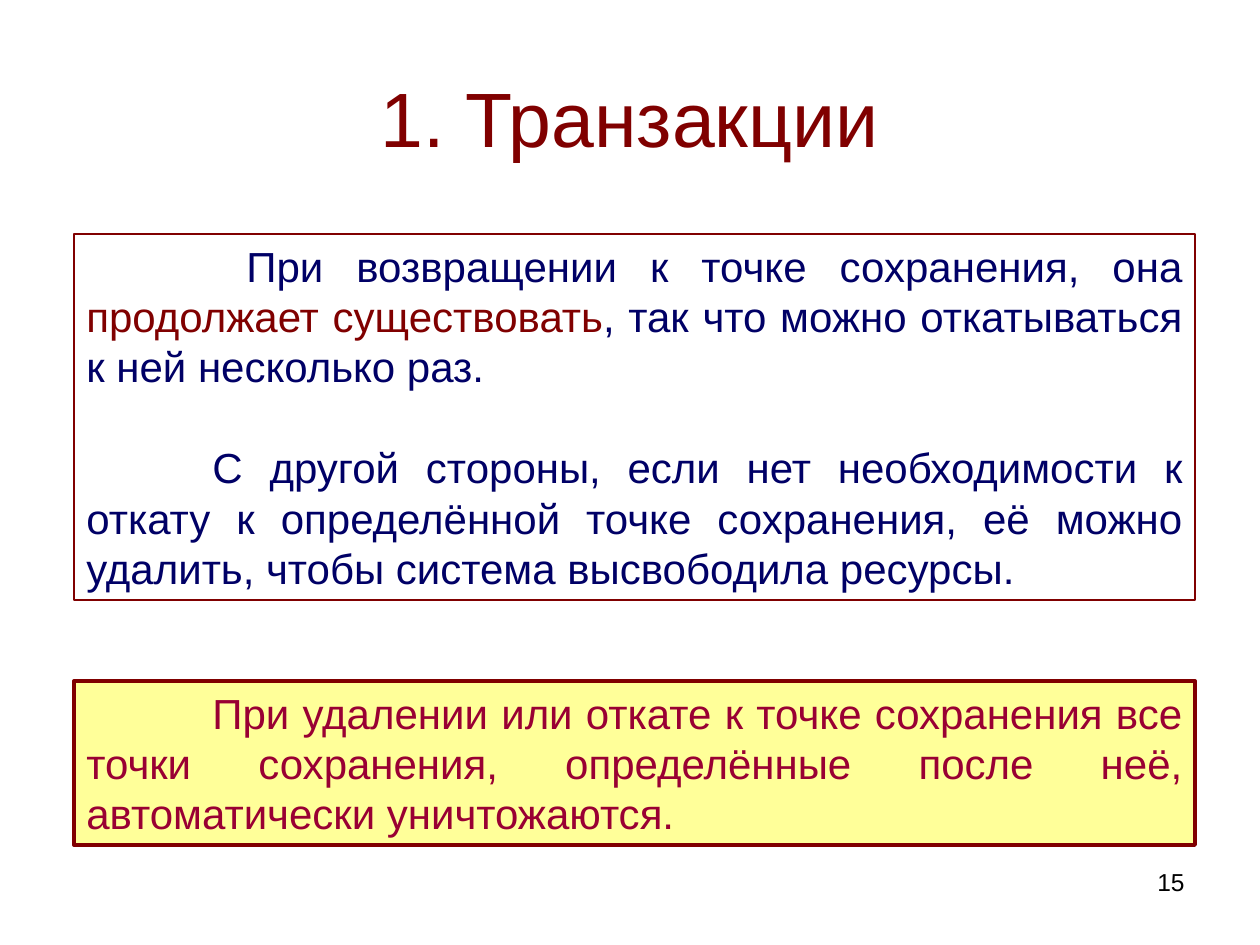
from pptx import Presentation
from pptx.dml.color import RGBColor
from pptx.enum.shapes import MSO_SHAPE as Shape
from pptx.enum.text import MSO_ANCHOR as Anchor, PP_ALIGN as Align
from pptx.util import Emu, Pt

PX = 914400 / 126
MAROON = RGBColor(0x80, 0x00, 0x00)
NAVY = RGBColor(0x00, 0x00, 0x66)
CRIMSON = RGBColor(0x99, 0x00, 0x33)
YELLOW = RGBColor(0xFF, 0xFF, 0x99)
BLACK = RGBColor(0x00, 0x00, 0x00)


def px(value):
    return Emu(round(value * PX))


def write(paragraph, runs, *, size, font, align, indent=0, line=None, before=0):
    """Fill a paragraph with (text, colour) runs in one format."""
    paragraph.alignment = align
    paragraph.space_before = Pt(before)
    if line:
        paragraph.line_spacing = Pt(line)
    if indent:
        paragraph._p.get_or_add_pPr().set("indent", str(px(indent)))
    for text, colour in runs:
        run = paragraph.add_run()
        run.text = text
        run.font.name = font
        run.font.size = Pt(size)
        run.font.color.rgb = colour


class SlideBuilder:
    font = "Arial"
    body_size = 24
    body_line = 28.8

    def __init__(self, slide):
        self.slide = slide

    def label(self, text, box, *, size, colour, align, anchor=Anchor.TOP):
        shape = self.slide.shapes.add_textbox(*map(px, box))
        frame = shape.text_frame
        frame.word_wrap = True
        frame.vertical_anchor = anchor
        write(frame.paragraphs[0], [(text, colour)],
              size=size, font=self.font, align=align)

    def panel(self, paragraphs, box, *, line_width, fill=None):
        """Framed text; each paragraph is (first-line indent, runs)."""
        shape = self.slide.shapes.add_shape(Shape.RECTANGLE, *map(px, box))
        shape.shadow.inherit = False
        if fill is None:
            shape.fill.background()
        else:
            shape.fill.solid()
            shape.fill.fore_color.rgb = fill
        shape.line.color.rgb = MAROON
        shape.line.width = Pt(line_width)
        frame = shape.text_frame
        frame.word_wrap = True
        frame.vertical_anchor = Anchor.TOP
        for index, (indent, runs) in enumerate(paragraphs):
            paragraph = frame.add_paragraph() if index else frame.paragraphs[0]
            write(paragraph, runs, size=self.body_size, font=self.font,
                  align=Align.JUSTIFY, indent=indent, line=self.body_line,
                  before=self.body_line if index else 0)


def main():
    presentation = Presentation()
    presentation.slide_width, presentation.slide_height = px(1260), px(945)
    builder = SlideBuilder(
        presentation.slides.add_slide(presentation.slide_layouts[6]))

    # Page number and title
    builder.label("15", (903, 861, 294, 66), size=14, colour=BLACK,
                  align=Align.RIGHT)
    builder.label("1. Транзакции", (63, 38, 1134, 158), size=44, colour=MAROON,
                  align=Align.CENTER, anchor=Anchor.MIDDLE)

    # Savepoint behaviour
    builder.panel([
        (160, [("При возвращении к точке сохранения, она ", NAVY),
               ("продолжает существовать", MAROON),
               (", так что можно откатываться к ней несколько раз.", NAVY)]),
        (126, [("С другой стороны, если нет необходимости к откату к "
                "определённой точке сохранения, её можно удалить, чтобы "
                "система высвободила ресурсы.", NAVY)]),
    ], (74, 234, 1121, 366), line_width=1.5)

    # Highlighted consequence
    builder.panel([
        (126, [("При удалении или откате к точке сохранения все точки "
                "сохранения, определённые после неё, автоматически "
                "уничтожаются.", CRIMSON)]),
    ], (74, 681, 1121, 164), line_width=2.25, fill=YELLOW)

    presentation.save("out.pptx")


if __name__ == "__main__":
    main()
